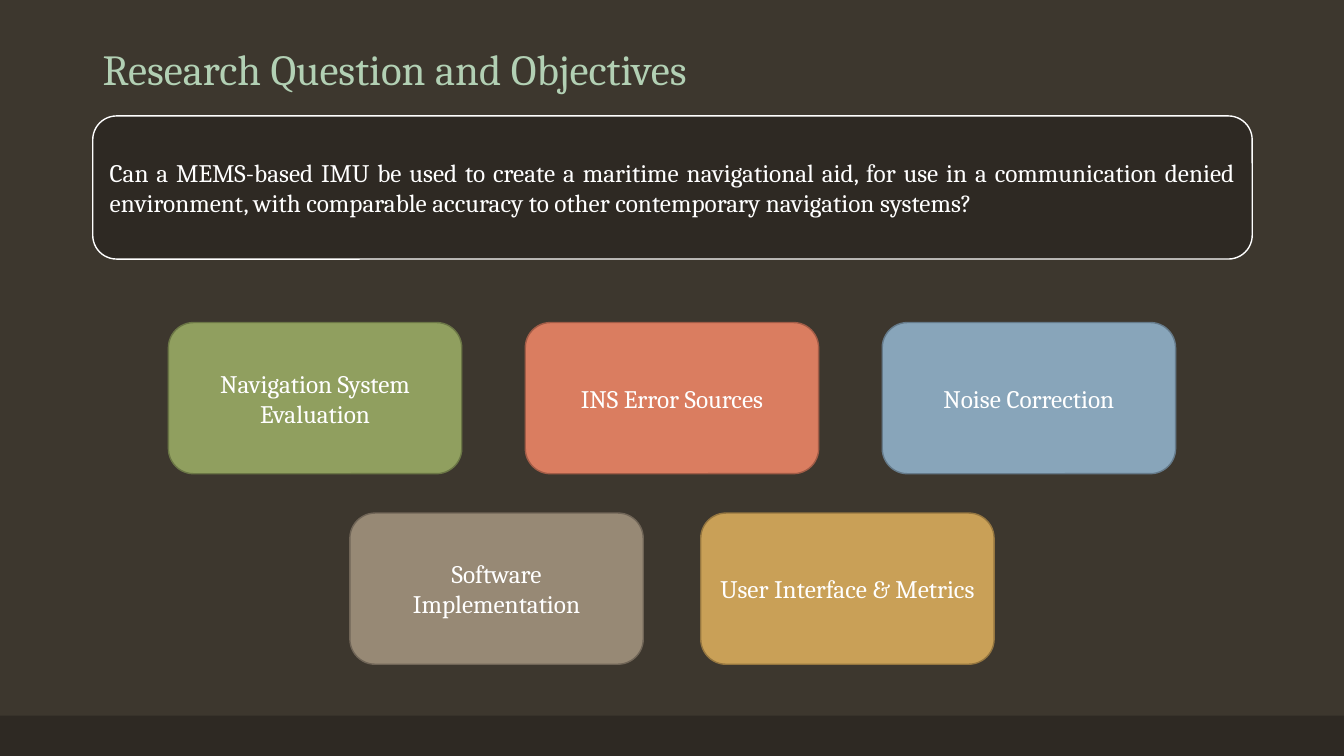
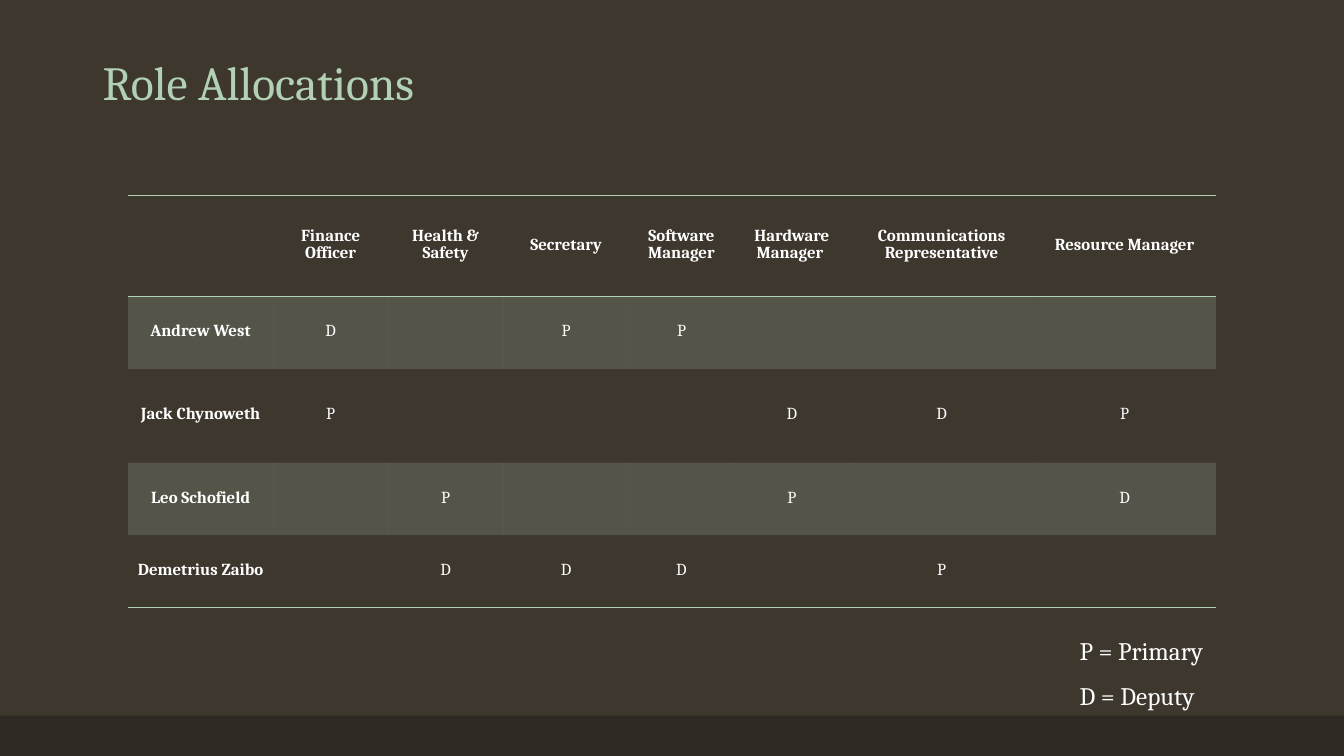
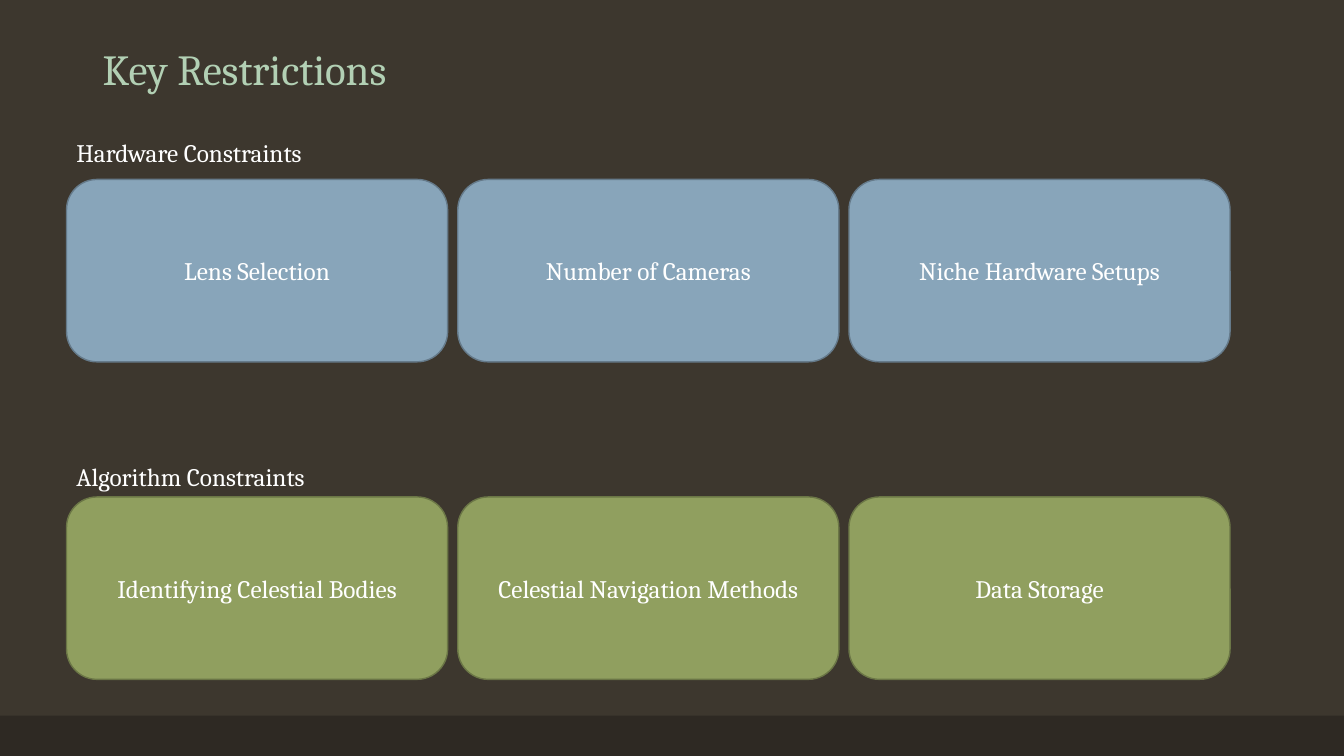
from lxml import etree
from pptx import Presentation
from pptx.dml.color import RGBColor
from pptx.enum.shapes import MSO_SHAPE as Preset
from pptx.enum.text import MSO_ANCHOR as Anchor, PP_ALIGN as Align
from pptx.oxml.ns import qn
from pptx.util import Pt

PX = 9144  # 100 px to the inch
SLIDE_WIDTH, SLIDE_HEIGHT = 1333, 750
FONT = "Cambria"
BODY_SIZE = 18

BACKGROUND = RGBColor(0x3D, 0x37, 0x2E)
BAND = RGBColor(0x2E, 0x29, 0x23)
MINT = RGBColor(0xB2, 0xD0, 0xB4)
WHITE = RGBColor(0xFF, 0xFF, 0xFF)
GREEN, GREEN_EDGE = RGBColor(0x90, 0x9F, 0x5F), RGBColor(0x6B, 0x76, 0x46)
CORAL, CORAL_EDGE = RGBColor(0xDA, 0x7D, 0x60), RGBColor(0xA1, 0x5C, 0x47)
BLUE, BLUE_EDGE = RGBColor(0x88, 0xA5, 0xBA), RGBColor(0x65, 0x7A, 0x8A)
TAUPE, TAUPE_EDGE = RGBColor(0x97, 0x89, 0x75), RGBColor(0x70, 0x65, 0x57)
GOLD, GOLD_EDGE = RGBColor(0xC9, 0xA0, 0x57), RGBColor(0x95, 0x76, 0x40)


def write(paragraph, text, size=BODY_SIZE, color=WHITE, bold=False,
          align=Align.LEFT, spacing=None):
    """Add one styled run and set the paragraph's alignment and line spacing."""
    paragraph.alignment = align
    paragraph.line_spacing = spacing
    run = paragraph.add_run()
    run.text = text
    run.font.name = FONT
    run.font.size = Pt(size)
    run.font.bold = bold
    run.font.color.rgb = color


def add_card(slide, left, top, width, height, text, fill, edge, align=Align.CENTER):
    """Add a rounded, outlined box with text in its middle."""
    card = slide.shapes.add_shape(
        Preset.ROUNDED_RECTANGLE, left * PX, top * PX, width * PX, height * PX)
    card.shadow.inherit = False
    card.fill.solid()
    card.fill.fore_color.rgb = fill
    card.line.color.rgb = edge
    card.line.width = Pt(1)
    frame = card.text_frame
    frame.word_wrap = True
    frame.vertical_anchor = Anchor.MIDDLE
    write(frame.paragraphs[0], text, align=align)


presentation = Presentation()
presentation.slide_width = SLIDE_WIDTH * PX
presentation.slide_height = SLIDE_HEIGHT * PX
master_fill = presentation.slide_master.background.fill
master_fill.solid()
master_fill.fore_color.rgb = BACKGROUND

# Shared band and title
slides = []
for title, title_size, title_height in [
    ("Research Question and Objectives", 30.6, 59),
    ("Role Allocations", 34, 75),
    ("Key Restrictions", 30.6, 59),
]:
    slide = presentation.slides.add_slide(presentation.slide_layouts[6])
    band = slide.shapes.add_shape(
        Preset.RECTANGLE, 0, 710 * PX, SLIDE_WIDTH * PX, 40 * PX)
    band.shadow.inherit = False
    band.fill.solid()
    band.fill.fore_color.rgb = BAND
    band.line.fill.background()
    title_box = slide.shapes.add_textbox(92 * PX, 40 * PX, 1150 * PX, title_height * PX)
    title_box.text_frame.word_wrap = True
    title_box.text_frame.vertical_anchor = Anchor.BOTTOM
    write(title_box.text_frame.paragraphs[0], title, title_size, MINT, spacing=0.9)
    slides.append(slide)
objectives_slide, roles_slide, restrictions_slide = slides

# Research question and objectives
add_card(
    objectives_slide, 92, 115, 1150, 142,
    "Can a MEMS-based IMU be used to create a maritime navigational aid, for use in a "
    "communication denied environment, with comparable accuracy to other contemporary "
    "navigation systems?",
    BAND, WHITE, Align.JUSTIFY)

CARD_WIDTH, CARD_HEIGHT = 291, 150
for top, gap, objectives in [
    (320, 63, [("Navigation System Evaluation", GREEN, GREEN_EDGE),
               ("INS Error Sources", CORAL, CORAL_EDGE),
               ("Noise Correction", BLUE, BLUE_EDGE)]),
    (509, 57, [("Software Implementation", TAUPE, TAUPE_EDGE),
               ("User Interface & Metrics", GOLD, GOLD_EDGE)]),
]:
    row_width = len(objectives) * (CARD_WIDTH + gap) - gap
    row_left = (SLIDE_WIDTH - row_width) // 2
    for column, (text, fill, edge) in enumerate(objectives):
        add_card(objectives_slide, row_left + column * (CARD_WIDTH + gap), top,
                 CARD_WIDTH, CARD_HEIGHT, text, fill, edge)

# Role allocations
ROLES = [
    ["", "Finance Officer", "Health & Safety", "Secretary", "Software Manager",
     "Hardware Manager ", "Communications Representative", "Resource Manager"],
    ["Andrew West", "D", "", "P", "P", "", "", ""],
    ["Jack Chynoweth", "P", "", "", "", "D", "D", "P"],
    ["Leo Schofield", "", "P", "", "", "P", "", "D"],
    ["Demetrius Zaibo", "", "D", "D", "D", "", "P", ""],
]
COLUMN_WIDTHS = [144, 114, 114, 125, 104, 115, 182, 181]
ROW_HEIGHTS = [100, 72, 93, 72, 72]
BORDERS = {0: ["a:lnT", "a:lnB"], len(ROLES) - 1: ["a:lnB"]}
NO_STYLE = "{2D5ABB26-0587-4C30-8999-92F81FD0307C}"

table = roles_slide.shapes.add_table(
    len(ROLES), len(COLUMN_WIDTHS), 127 * PX, 194 * PX,
    sum(COLUMN_WIDTHS) * PX, sum(ROW_HEIGHTS) * PX).table
table.horz_banding = False
table._tbl.tblPr.find(qn("a:tableStyleId")).text = NO_STYLE
for column, width in zip(table.columns, COLUMN_WIDTHS):
    column.width = width * PX
for row, height in zip(table.rows, ROW_HEIGHTS):
    row.height = height * PX

for row_index, row_texts in enumerate(ROLES):
    for column_index, text in enumerate(row_texts):
        cell = table.cell(row_index, column_index)
        cell.vertical_anchor = Anchor.MIDDLE
        cell.margin_left = cell.margin_right = 7 * PX
        cell.margin_top = cell.margin_bottom = 0
        if text:
            write(cell.text_frame.paragraphs[0], text, 12,
                  bold=row_index == 0 or column_index == 0,
                  align=Align.CENTER, spacing=Pt(12))
        properties = cell._tc.get_or_add_tcPr()
        for side in BORDERS.get(row_index, []):
            border = etree.SubElement(properties, qn(side), w=str(Pt(1)))
            border_fill = etree.SubElement(border, qn("a:solidFill"))
            etree.SubElement(border_fill, qn("a:srgbClr"), val=str(MINT))
        if row_index % 2:
            cell.fill.solid()
            cell.fill.fore_color.rgb = MINT
            color = properties.find(qn("a:solidFill")).find(qn("a:srgbClr"))
            etree.SubElement(color, qn("a:alpha"), val="20000")
        else:
            cell.fill.background()

legend = roles_slide.shapes.add_textbox(1061 * PX, 610 * PX, 181 * PX, 95 * PX).text_frame
legend.word_wrap = True
write(legend.paragraphs[0], "P = Primary", spacing=1.5)
write(legend.add_paragraph(), "D = Deputy", spacing=1.5)

# Key restrictions
for heading, heading_top, cards_top, fill, edge, restrictions in [
    ("Hardware Constraints", 131, 178, BLUE, BLUE_EDGE,
     ["Lens Selection", "Number of Cameras", "Niche Hardware Setups"]),
    ("Algorithm Constraints", 453, 493, GREEN, GREEN_EDGE,
     ["Identifying Celestial Bodies", "Celestial Navigation Methods", "Data Storage"]),
]:
    for column, text in enumerate(restrictions):
        add_card(restrictions_slide, 66 + column * 388, cards_top, 378, 181,
                 text, fill, edge)
    heading_box = restrictions_slide.shapes.add_textbox(
        66 * PX, heading_top * PX, 378 * PX, 40 * PX)
    heading_box.text_frame.word_wrap = True
    write(heading_box.text_frame.paragraphs[0], heading)

presentation.save("out.pptx")
